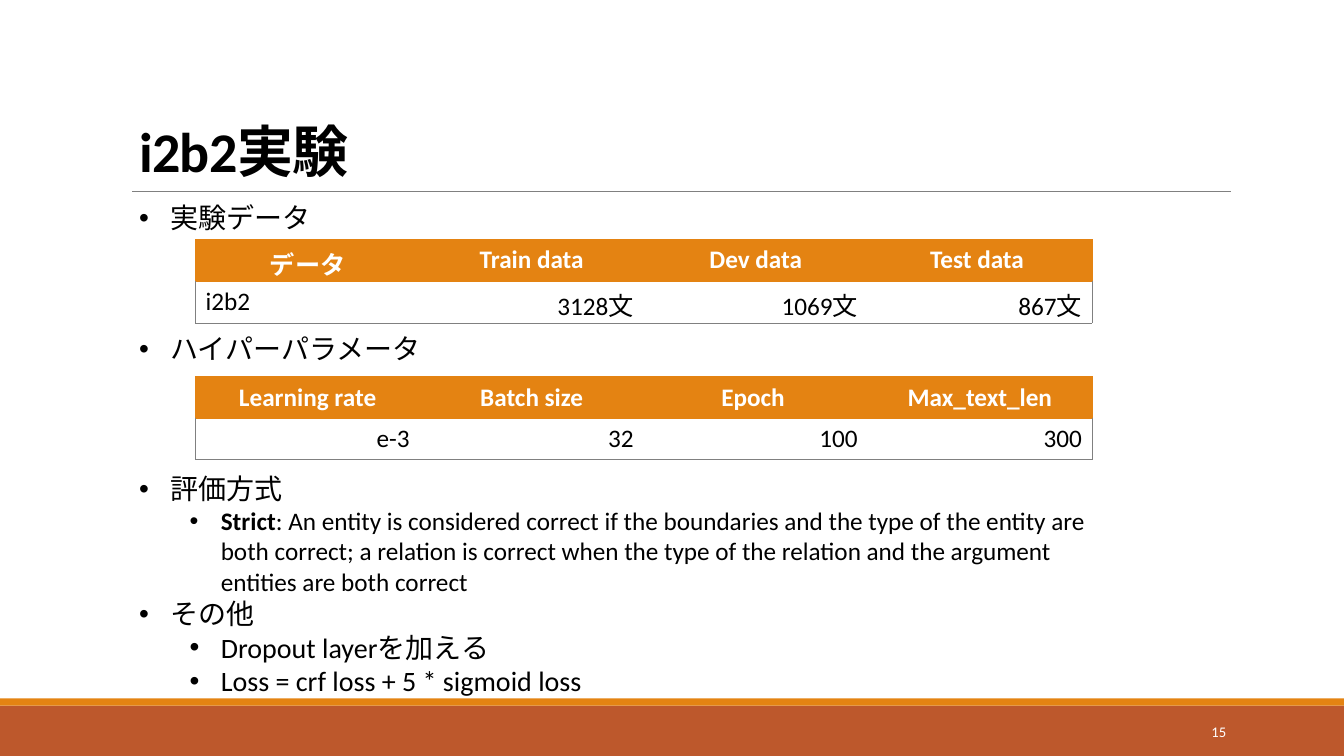
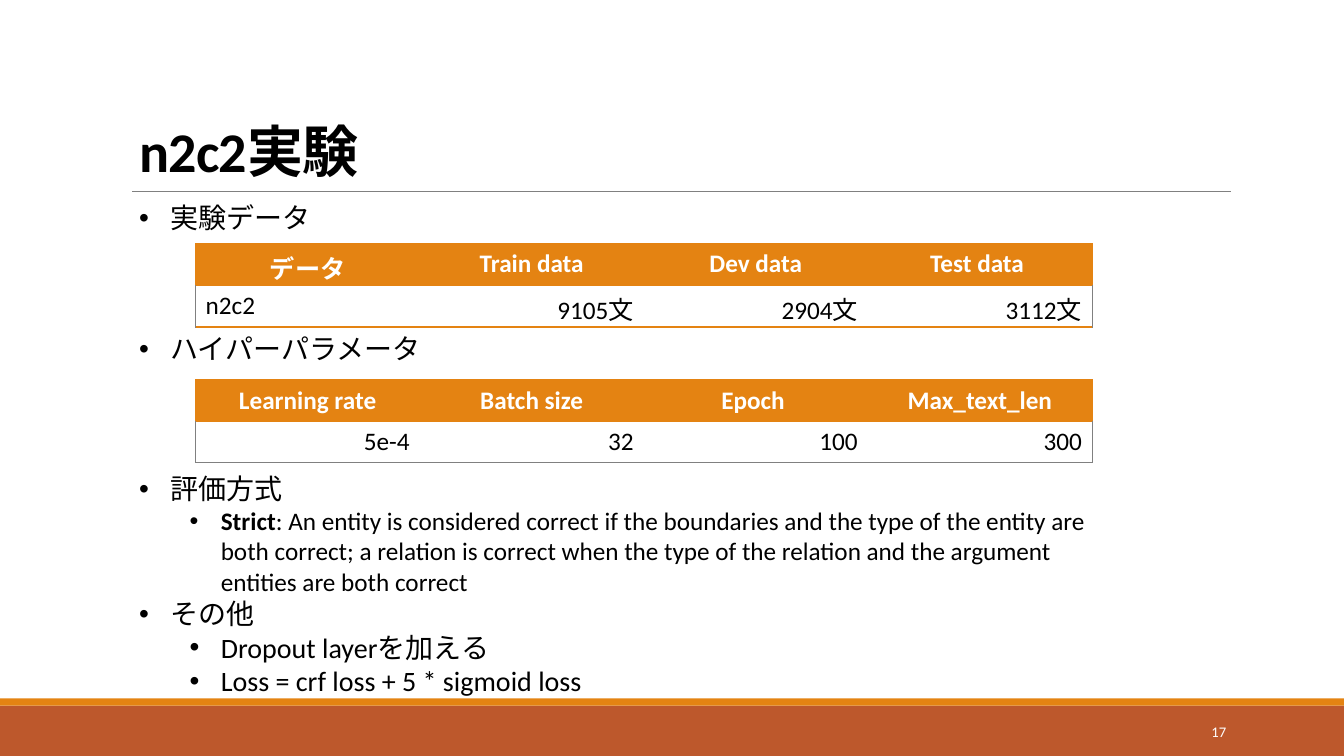
"""Build the two experiment slides: data, hyperparameters, evaluation and notes."""
from dataclasses import dataclass

from lxml.etree import SubElement
from pptx import Presentation
from pptx.dml.color import RGBColor
from pptx.enum.lang import MSO_LANGUAGE_ID as Lang
from pptx.enum.shapes import MSO_CONNECTOR as Connector, MSO_SHAPE as Preset
from pptx.enum.text import MSO_ANCHOR as Anchor, MSO_AUTO_SIZE as AutoSize, PP_ALIGN as Align
from pptx.oxml.ns import qn
from pptx.util import Emu, Inches, Pt

COLORS = {
    "band": "BD582C",
    "accent": "E48312",
    "rule": "808080",
    "text": "000000",
    "paper": "FFFFFF",
}
LATIN = "Calibri"
CJK = "Noto Sans CJK JP"
NO_GRID_STYLE = "{2D5ABB26-0587-4C30-8999-92F81FD0307C}"
LEFT = 1.28
TABLE_LEFT, TABLE_WIDTH, ROW_HEIGHT = 1.94, 8.89, 0.41
DATA_HEADER = ("データ", "Train data", "Dev data", "Test data ")
PARAMETER_HEADER = ("Learning rate", "Batch size", "Epoch ", "Max_text_len")


@dataclass(frozen=True)
class Item:
    text: str
    level: int = 0
    size: float = 20
    lead: str = ""


@dataclass(frozen=True)
class BulletList:
    top: float
    width: float
    height: float
    items: tuple[Item, ...]


@dataclass(frozen=True)
class Grid:
    top: float
    header: tuple[str, ...]
    values: tuple[str, ...]
    base: tuple[str, float] = ("rule", 0.5)


@dataclass(frozen=True)
class Experiment:
    name: str
    number: int
    grids: tuple[Grid, ...]


LISTS = (
    BulletList(1.94, 10.61, 0.84, (Item("実験データ"),)),
    BulletList(3.24, 9.69, 0.44, (Item("ハイパーパラメータ"),)),
    BulletList(4.63, 9.69, 1.68, (
        Item("評価方式"),
        Item(": An entity is considered correct if the boundaries and the type of the "
             "entity are both correct; a relation is correct when the type of the relation "
             "and the argument entities are both correct", 1, 18, "Strict"),
    )),
    BulletList(5.87, 9.69, 1.11, (
        Item("その他"),
        Item("Dropout layerを加える", 1),
        Item("Loss = crf loss + 5 * sigmoid loss", 1),
    )),
)

EXPERIMENTS = (
    Experiment("i2b2", 15, (
        Grid(2.38, DATA_HEADER, ("i2b2", "3128文", "1069文", "867文")),
        Grid(3.74, PARAMETER_HEADER, ("e-3", "32", "100", "300")),
    )),
    Experiment("n2c2", 17, (
        Grid(2.42, DATA_HEADER, ("n2c2", "9105文", "2904文", "3112文"), ("accent", 1)),
        Grid(3.77, PARAMETER_HEADER, ("5e-4", "32", "100", "300")),
    )),
)


def color(name: str) -> RGBColor:
    return RGBColor.from_string(COLORS[name])


def write(para, text: str, *, size: float, ink: str = "text", bold: bool = False,
          font: str = LATIN, east: str = LATIN, tracking: float = 0) -> None:
    span = para.add_run()
    span.text = text
    span.font.size, span.font.bold, span.font.name = Pt(size), bold, font
    span.font.color.rgb = color(ink)
    span.font.language_id = Lang.JAPANESE
    properties = span.font._element
    SubElement(properties, qn("a:ea")).set("typeface", east)
    if tracking:
        properties.set("spc", str(round(tracking * 100)))


def place(shape, left: float, top: float, width: float, height: float) -> None:
    shape.left, shape.top = Inches(left), Inches(top)
    shape.width, shape.height = Inches(width), Inches(height)


def furnish_layout(slide, layout, width: float) -> None:
    shapes = []
    for top, height, fill in ((7, 0.5, "band"), (6.93, 0.07, "accent")):
        band = slide.shapes.add_shape(
            Preset.RECTANGLE, 0, Inches(top), Inches(width), Inches(height))
        band.shadow.inherit = False
        band.fill.solid()
        band.fill.fore_color.rgb = color(fill)
        band.line.fill.background()
        shapes.append(band)
    rule = slide.shapes.add_connector(
        Connector.STRAIGHT, Inches(1.31), Inches(1.9), Inches(12.21), Inches(1.9))
    rule.line.color.rgb = color("rule")
    rule.line.width = Pt(0.5)
    SubElement(rule._element.spPr, qn("a:effectLst"))
    for shape in (*shapes, rule):
        layout.shapes.element.append(shape.element)


def add_title(slide, name: str) -> None:
    title = slide.shapes.title
    place(title, LEFT, 1.05, 11, 0.83)
    frame = title.text_frame
    frame.auto_size, frame.vertical_anchor = AutoSize.NONE, Anchor.BOTTOM
    para = frame.paragraphs[0]
    para.alignment, para.line_spacing = Align.LEFT, 0.85
    write(para, name, size=40, bold=True, tracking=-0.5)
    write(para, "実験", size=40, bold=True, font=CJK, east=CJK, tracking=-0.5)


def add_bullet(para, level: int) -> None:
    para.level = level
    para.alignment, para.line_spacing = Align.LEFT, 1.0
    para.space_before = para.space_after = Pt(0)
    properties = para._p.get_or_add_pPr()
    properties.set("marL", str(Inches(0.31 + 0.5 * level)))
    properties.set("indent", str(Inches(-0.31)))
    SubElement(properties, qn("a:buFont")).set("typeface", "Arial")
    SubElement(properties, qn("a:buChar")).set("char", "•")


def fill_list(body, bullets: BulletList) -> None:
    place(body, LEFT, bullets.top, bullets.width, bullets.height)
    frame = body.text_frame
    frame.auto_size, frame.vertical_anchor = AutoSize.NONE, Anchor.TOP
    for index, item in enumerate(bullets.items):
        para = frame.add_paragraph() if index else frame.paragraphs[0]
        add_bullet(para, item.level)
        if item.lead:
            write(para, item.lead, size=item.size, bold=True)
        write(para, item.text, size=item.size)


def add_border(cell, side: str, ink: str, width: float) -> None:
    line = SubElement(cell._tc.get_or_add_tcPr(), qn(f"a:ln{side}"), w=str(Pt(width)))
    fill = SubElement(line, qn("a:solidFill"))
    SubElement(fill, qn("a:srgbClr")).set("val", COLORS[ink])


def add_grid(slide, grid: Grid) -> None:
    count = len(grid.header)
    table = slide.shapes.add_table(
        2, count, Inches(TABLE_LEFT), Inches(grid.top),
        Inches(TABLE_WIDTH), Inches(2 * ROW_HEIGHT)).table
    table._tbl.tblPr.find(qn("a:tableStyleId")).text = NO_GRID_STYLE
    table.horz_banding = False
    for column in table.columns:
        column.width = Emu(Inches(TABLE_WIDTH) // count)
    for row_index, texts in enumerate((grid.header, grid.values)):
        table.rows[row_index].height = Inches(ROW_HEIGHT)
        heading = row_index == 0
        edge = ("accent", 1) if heading else ("rule", 0.5)
        for index, text in enumerate(texts):
            cell = table.cell(row_index, index)
            if index == 0:
                add_border(cell, "L", *edge)
            if index == count - 1:
                add_border(cell, "R", *edge)
            add_border(cell, "T", "accent", 1)
            if not heading:
                add_border(cell, "B", *grid.base)
            cell.fill.solid()
            cell.fill.fore_color.rgb = color("accent" if heading else "paper")
            cell.margin_bottom = 0
            para = cell.text_frame.paragraphs[0]
            named = index == 0 and grid.header is DATA_HEADER
            para.alignment = Align.CENTER if heading else Align.LEFT if named else Align.RIGHT
            write(para, text, size=18, bold=heading, east=CJK,
                  ink="paper" if heading else "text")


def add_number(slide, number: int) -> None:
    box = slide.shapes.add_textbox(Inches(10.83), Inches(7.06), Inches(1.43), Inches(0.4))
    frame = box.text_frame
    frame.word_wrap, frame.vertical_anchor = True, Anchor.MIDDLE
    para = frame.paragraphs[0]
    para.alignment = Align.RIGHT
    write(para, str(number), size=10.5, ink="paper")


def main() -> None:
    deck = Presentation()
    deck.slide_width, deck.slide_height = Inches(13.33), Inches(7.5)
    layout = deck.slide_layouts.get_by_name("Comparison")
    for index, experiment in enumerate(EXPERIMENTS):
        slide = deck.slides.add_slide(layout)
        if index == 0:
            furnish_layout(slide, layout, 13.33)
        add_title(slide, experiment.name)
        bodies = [holder for holder in slide.placeholders if holder.placeholder_format.idx]
        for body, bullets in zip(bodies, LISTS):
            fill_list(body, bullets)
        for grid in experiment.grids:
            add_grid(slide, grid)
        add_number(slide, experiment.number)
    deck.save("out.pptx")


if __name__ == "__main__":
    main()
